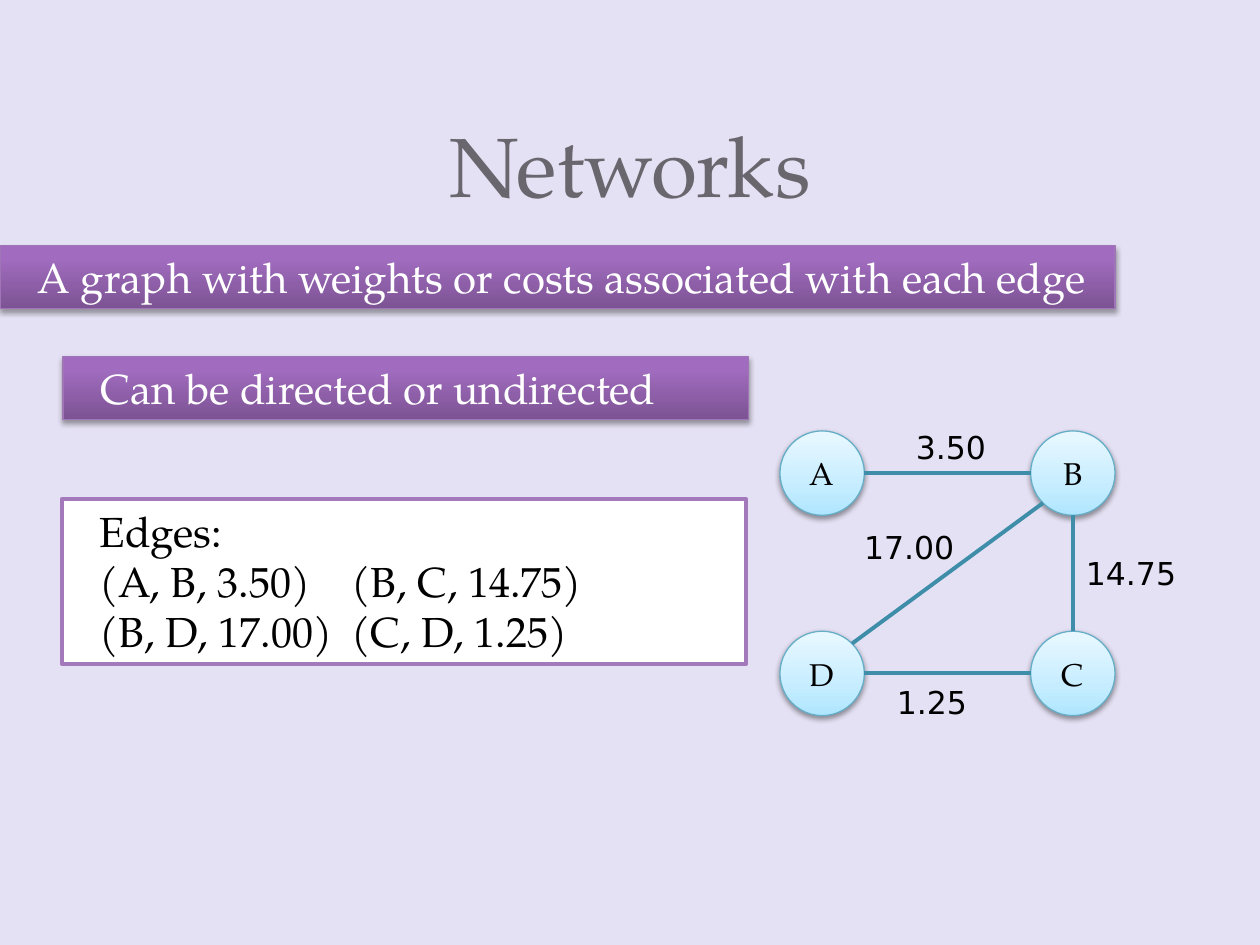
from dataclasses import dataclass
import math

import lxml.etree
import pptx
import pptx.dml.color
import pptx.enum.dml
import pptx.enum.shapes
import pptx.enum.text
import pptx.oxml.ns
import pptx.util

Inches = pptx.util.Inches
Shapes = pptx.enum.shapes.MSO_SHAPE
Align = pptx.enum.text.PP_ALIGN
Anchor = pptx.enum.text.MSO_ANCHOR
qn = pptx.oxml.ns.qn

SERIF, SANS = "TeX Gyre Pagella", "DejaVu Sans"
COLORS = {
    "back": "E5E1F4", "title": "69676D", "white": "FFFFFF", "black": "000000",
    "bar": "A075B8", "frame": "A379BB", "ring": "66AEC7", "edge": "3E8EA9",
}
PURPLE = ((0, "7C5393"), (80, "A16CBF"), (100, "A26BC1"))
BLUE = ((0, "AEE6FF"), (35, "C6EDFF"), (100, "E9F8FF"))
SIZE = 0.67
TAB = 2


@dataclass
class Panel:
    box: tuple
    lines: tuple
    stops: tuple = PURPLE
    color: str = "white"
    line: str = "bar"
    width: float = 0.75


@dataclass
class Node:
    name: str
    x: float
    y: float


@dataclass
class Edge:
    start: str
    end: str
    cost: str
    box: tuple


PANELS = (
    Panel((0, 1.95, 8.85, 0.5),
          ("A graph with weights or costs associated with each edge",)),
    Panel((0.49, 3.96, 5.43, 1.31),
          ("Edges:", "(A, B, 3.50)\t(B, C, 14.75)", "(B, D, 17.00)\t(C, D, 1.25)"),
          (), "black", "frame", 2.25),
    Panel((0.5, 2.83, 5.44, 0.5), ("Can be directed or undirected",)),
)
LEFT, RIGHT, TOP, LOW = 6.19, 8.18, 3.42, 5.01
NODES = (Node("A", LEFT, TOP), Node("B", RIGHT, TOP),
         Node("C", RIGHT, LOW), Node("D", LEFT, LOW))
EDGES = (
    Edge("D", "B", "17.00", (6.76, 4.14, 0.99, 0.4)),
    Edge("A", "B", "3.50", (7.17, 3.35, 0.83, 0.4)),
    Edge("C", "B", "14.75", (8.52, 4.35, 0.99, 0.4)),
    Edge("C", "D", "1.25", (7.02, 5.37, 0.99, 0.4)),
)


def rgb(name: str):
    return pptx.dml.color.RGBColor.from_string(COLORS[name])


def place(box: tuple) -> list:
    return [Inches(v) for v in box]


def node(parent, tag: str, **attrs):
    """Add an XML child with the given attributes."""
    return lxml.etree.SubElement(parent, qn(tag), {k: str(v) for k, v in attrs.items()})


def write(frame, lines: tuple, color: str, font: str, size: float, **form) -> None:
    frame.word_wrap = True
    for i, text in enumerate(lines):
        para = frame.paragraphs[0] if i == 0 else frame.add_paragraph()
        para.text = text
        if "\t" in text:
            tabs = node(para._p.get_or_add_pPr(), "a:tabLst")
            node(tabs, "a:tab", pos=Inches(TAB), algn="l")
        for key, value in {"alignment": Align.LEFT, **form}.items():
            setattr(para, key, value)
        for key, value in {"name": font, "size": pptx.util.Pt(size)}.items():
            setattr(para.font, key, value)
        para.font.color.rgb = rgb(color)


def shade(shape, stops: tuple, alpha: int, dist: float) -> None:
    """Fill from bottom to top and drop a soft shadow below."""
    shape.fill.gradient()
    shape.fill.gradient_angle = 90
    props = shape._element.spPr
    listing = props.find(".//" + qn("a:gsLst"))
    for old in list(listing):
        listing.remove(old)
    for pos, color in stops:
        node(node(listing, "a:gs", pos=pos * 1000), "a:srgbClr", val=color)
    drop = node(props.find(qn("a:effectLst")), "a:outerShdw",
                blurRad=pptx.util.Pt(3.1), dist=pptx.util.Pt(dist),
                dir=5400000, rotWithShape=0)
    tint = node(drop, "a:srgbClr", val=COLORS["black"])
    node(tint, "a:alpha", val=alpha * 1000)


def outline(item, color: str, width: float) -> None:
    item.line.color.rgb = rgb(color)
    item.line.width = pptx.util.Pt(width)


def add_panel(slide, panel: Panel) -> None:
    shape = slide.shapes.add_shape(Shapes.RECTANGLE, *place(panel.box))
    shape.shadow.inherit = False
    if panel.stops:
        shade(shape, panel.stops, 35, 1.8)
    else:
        shape.fill.solid()
        shape.fill.fore_color.rgb = rgb("white")
    outline(shape, panel.line, panel.width)
    frame = shape.text_frame
    frame.margin_left = Inches(0.3)
    frame.vertical_anchor = Anchor.TOP
    write(frame, panel.lines, panel.color, SERIF, 24)


def add_node(slide, item: Node) -> None:
    shape = slide.shapes.add_shape(Shapes.OVAL, *place((item.x, item.y, SIZE, SIZE)))
    shape.shadow.inherit = False
    shade(shape, BLUE, 38, 1.6)
    outline(shape, "ring", 0.75)
    shape.text_frame.vertical_anchor = Anchor.MIDDLE
    write(shape.text_frame, (item.name,), "black", SERIF, 18, alignment=Align.CENTER)


def rim(item: Node, other: Node) -> tuple:
    """Point on the circle, to the nearest eighth turn, that faces the other node."""
    eighth = math.pi / 4
    turn = round(math.atan2(other.y - item.y, other.x - item.x) / eighth) * eighth
    half = SIZE / 2
    return (item.x + half + half * math.cos(turn),
            item.y + half + half * math.sin(turn))


def add_edge(slide, edge: Edge, nodes: dict) -> None:
    start, end = nodes[edge.start], nodes[edge.end]
    points = place(rim(start, end) + rim(end, start))
    line = slide.shapes.add_connector(pptx.enum.shapes.MSO_CONNECTOR.STRAIGHT, *points)
    outline(line, "edge", 2.25)
    node(line._element.spPr, "a:effectLst")


def add_cost(slide, edge: Edge) -> None:
    label = slide.shapes.add_textbox(*place(edge.box))
    write(label.text_frame, (edge.cost,), "black", SANS, 18)


def main() -> None:
    deck = pptx.Presentation()
    deck.slide_width, deck.slide_height = Inches(10), Inches(7.5)
    slide = deck.slides.add_slide(deck.slide_layouts[5])
    slide.background.fill.solid()
    slide.background.fill.fore_color.rgb = rgb("back")

    title = slide.shapes.title
    title.left, title.top, title.width, title.height = place((0.5, 0, 9, 1.75))
    title.text_frame.vertical_anchor = Anchor.BOTTOM
    write(title.text_frame, ("Networks",), "title", SERIF, 48,
          alignment=Align.CENTER, line_spacing=pptx.util.Pt(58))

    for panel in PANELS:
        add_panel(slide, panel)
    for item in NODES:
        add_node(slide, item)
    nodes = {item.name: item for item in NODES}
    for edge in EDGES:
        add_edge(slide, edge, nodes)
    for edge in EDGES:
        add_cost(slide, edge)
    deck.save("out.pptx")


if __name__ == "__main__":
    main()
